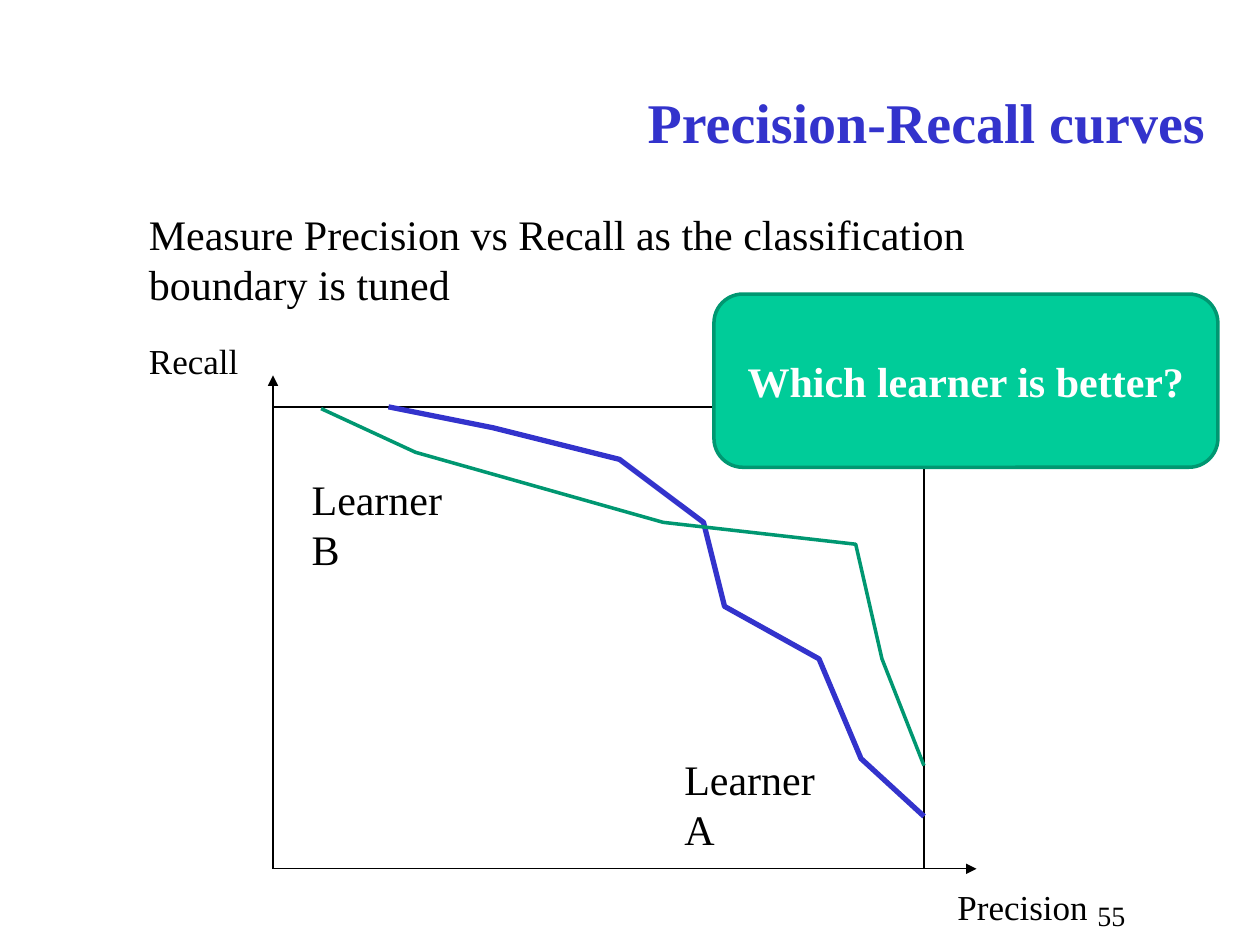
from lxml.etree import SubElement
from pptx import Presentation
from pptx.dml.color import RGBColor
from pptx.enum.shapes import MSO_CONNECTOR as Connector, MSO_SHAPE as Shape
from pptx.enum.text import MSO_ANCHOR as Anchor, PP_ALIGN as Align
from pptx.oxml.ns import qn
from pptx.util import Pt

BLACK = RGBColor(0x00, 0x00, 0x00)
WHITE = RGBColor(0xFF, 0xFF, 0xFF)
BLUE = RGBColor(0x33, 0x33, 0xCC)
GREEN = RGBColor(0x00, 0xCC, 0x99)
DARK_GREEN = RGBColor(0x00, 0x97, 0x71)

# Plot area, in points
LEFT, TOP, RIGHT, BOTTOM = 156, 232.5, 528, 496.5

deck = Presentation()
deck.slide_width, deck.slide_height = Pt(720), Pt(540)
page = deck.slides.add_slide(deck.slide_layouts[6])
shapes = page.shapes


def write(box, text, size, color=BLACK, bold=False, align=Align.LEFT, anchor=Anchor.TOP):
    frame = box.text_frame
    frame.word_wrap = True
    frame.vertical_anchor = anchor
    para = frame.paragraphs[0]
    para.text = text
    para.alignment = align
    font = para.font
    font.name, font.size, font.bold = "Times New Roman", Pt(size), bold
    font.color.rgb = color


def outline(shape, color, width):
    shape.shadow.inherit = False
    shape.line.color.rgb = color
    shape.line.width = Pt(width)


# Title
title = shapes.add_textbox(Pt(84), Pt(24), Pt(612), Pt(90))
write(title, "Precision-Recall curves", 32, BLUE, True, Align.RIGHT, Anchor.MIDDLE)

# Axes
for end_x, end_y in [(558, BOTTOM), (LEFT, 214.5)]:
    axis = shapes.add_connector(Connector.STRAIGHT, Pt(LEFT), Pt(BOTTOM), Pt(end_x), Pt(end_y))
    axis.line.color.rgb = BLACK
    axis.line.width = Pt(0.75)
    SubElement(axis.line._get_or_add_ln(), qn("a:tailEnd"), type="triangle")
    SubElement(axis._element.spPr, qn("a:effectLst"))

# Plot frame
plot = shapes.add_shape(Shape.RECTANGLE, Pt(LEFT), Pt(TOP), Pt(RIGHT - LEFT), Pt(BOTTOM - TOP))
plot.fill.background()
outline(plot, BLACK, 0.75)

# Learner curves
learner_a = [(222, TOP), (282, 244.5), (354, 262.5), (402, 298.5),
             (414, 346.5), (468, 376.5), (492, 433.5), (RIGHT, 466.5)]
learner_b = [(RIGHT, 437.5), (504, 376.5), (489, 311), (379, 298.5),
             (237.5, 258.5), (183.5, 233.5)]
for points, color, width in [(learner_a, BLUE, 3), (learner_b, DARK_GREEN, 2)]:
    start, *rest = [(Pt(x), Pt(y)) for x, y in points]
    builder = shapes.build_freeform(*start)
    builder.add_line_segments(rest, close=False)
    curve = builder.convert_to_shape()
    curve.fill.background()
    outline(curve, color, width)

# Statement, axis names, curve names and page number
for text, x, y, width, height, size in [
    ("Measure Precision vs Recall as the classification boundary is tuned",
     78, 115.5, 564, 65.5, 24),
    ("Precision", 540, 502.5, 126, 31, 20),
    ("Recall", 78, 190.5, 96, 31, 20),
    ("Learner A", 384, 427, 100, 65.5, 24),
    ("Learner B", 171, 267, 100, 65.5, 24),
    ("55", 620, 510, 33, 26.5, 16),
]:
    write(shapes.add_textbox(Pt(x), Pt(y), Pt(width), Pt(height)), text, size)

# Question
question = shapes.add_shape(Shape.ROUNDED_RECTANGLE, Pt(408), Pt(168), Pt(288), Pt(99))
question.fill.solid()
question.fill.fore_color.rgb = GREEN
outline(question, DARK_GREEN, 2)
write(question, "Which learner is better?", 24, WHITE, True, Align.CENTER, Anchor.MIDDLE)

deck.save("out.pptx")
